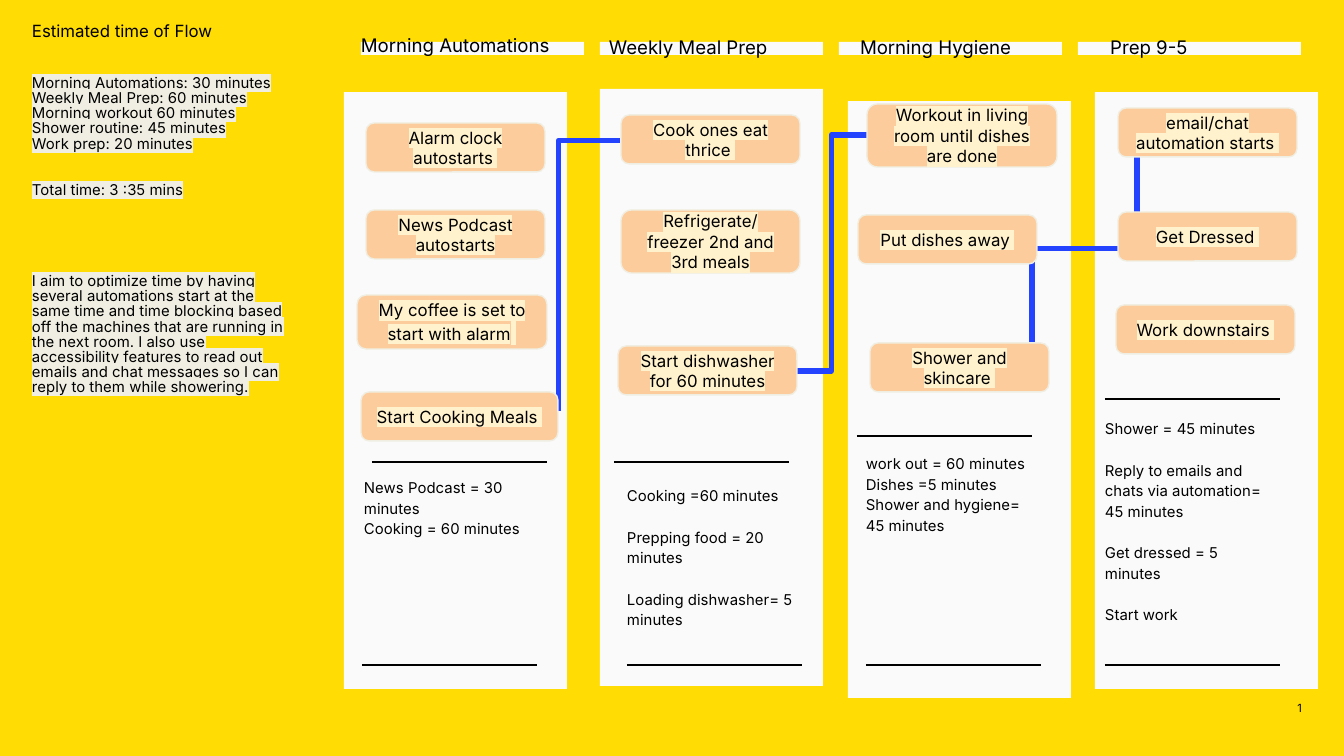
"""Build a yellow morning-routine flow slide with four columns of steps."""
from lxml import etree
from pptx import Presentation
from pptx.dml.color import RGBColor
from pptx.enum.shapes import MSO_CONNECTOR, MSO_SHAPE
from pptx.enum.text import MSO_ANCHOR, PP_ALIGN
from pptx.oxml.ns import qn
from pptx.util import Pt

EMU_PER_PX = 914400 / 134.4
RECT, ROUNDED = MSO_SHAPE.RECTANGLE, MSO_SHAPE.ROUNDED_RECTANGLE
STRAIGHT, ELBOW = MSO_CONNECTOR.STRAIGHT, MSO_CONNECTOR.ELBOW
LEFT, CENTER, RIGHT = PP_ALIGN.LEFT, PP_ALIGN.CENTER, PP_ALIGN.RIGHT
TOP, MIDDLE = MSO_ANCHOR.TOP, MSO_ANCHOR.MIDDLE
YELLOW, PANEL, STEP, BORDER = "FFDD04", "FAFAFA", "FDCC9C", "F0EEE2"
CREAM, BLACK, BLUE = "FFF2CC", "000000", "2443FF"


def px(*lengths):
    return [round(length * EMU_PER_PX) for length in lengths]


def add_span(para, text, size, highlight=None):
    span = para.add_run()
    span.text = text
    span.font.size = Pt(size)
    span.font.name = "Inter"
    span.font.color.rgb = RGBColor.from_string(BLACK)
    if highlight:
        mark = etree.Element(qn("a:highlight"))
        etree.SubElement(mark, qn("a:srgbClr"), val=highlight)
        span.font._element.find(qn("a:solidFill")).addnext(mark)


deck = Presentation()
deck.slide_width, deck.slide_height = px(1344, 756)
page = deck.slides.add_slide(deck.slide_layouts[6])
page.background.fill.solid()
page.background.fill.fore_color.rgb = RGBColor.from_string(YELLOW)

header_bars = [(361 + 239 * column, 42, 223, 13) for column in range(4)]
panels = [(x, y, 223, 597) for x, y in [(344, 92), (600, 89), (848, 101), (1095, 92)]]
for frame in header_bars + panels:
    panel = page.shapes.add_shape(RECT, *px(*frame))
    panel.shadow.inherit = False
    panel.fill.solid()
    panel.fill.fore_color.rgb = RGBColor.from_string(PANEL)
    panel.line.fill.background()

rules = [(372, 462), (614, 462), (857, 436), (1105, 399),
         (362, 665), (627, 665), (866, 665), (1105, 665)]
strokes = [(STRAIGHT, (x, y, x + 175, y), BLACK, 0.75, None, 0) for x, y in rules]
strokes += [
    (ELBOW, (454, 245, 725, 307), BLUE, 3, "bentConnector2", 270),
    (ELBOW, (796, 371, 867, 135), BLUE, 3, "bentConnector3", 0),
    (ELBOW, (979, 196, 1190, 301), BLUE, 3, "bentConnector3", 270),
]
for kind, ends, color, width, geometry, turn in strokes:
    stroke = page.shapes.add_connector(kind, *px(*ends))
    stroke.line.color.rgb = RGBColor.from_string(color)
    stroke.line.width = Pt(width)
    properties = stroke._element.spPr
    etree.SubElement(properties, qn("a:effectLst"))
    if geometry:
        properties.find(qn("a:prstGeom")).set("prst", geometry)
    if turn:
        properties.find(qn("a:xfrm")).set("rot", str(turn * 60000))

steps = [
    (366, 123, 179, 49, "Alarm clock autostarts "),
    (366, 210, 179, 49, "News Podcast autostarts"),
    (357, 295, 190, 54, "My coffee is set to start with alarm"),
    (361, 392, 197, 49, "Start Cooking Meals "),
    (621, 115, 179, 49, "Cook ones eat thrice "),
    (621, 210, 179, 63, "Refrigerate/ freezer 2nd and 3rd meals"),
    (618, 346, 179, 49, "Start dishwasher for 60 minutes"),
    (867, 104, 190, 63, "Workout in living room until dishes are done"),
    (858, 215, 179, 49, "Put dishes away "),
    (870, 343, 179, 49, "Shower and skincare "),
    (1118, 108, 179, 49, "email/chat automation starts "),
    (1118, 212, 179, 49, "Get Dressed "),
    (1116, 305, 179, 49, "Work downstairs "),
]
for *frame, label in steps:
    step = page.shapes.add_shape(ROUNDED, *px(*frame))
    step.shadow.inherit = False
    step.fill.solid()
    step.fill.fore_color.rgb = RGBColor.from_string(STEP)
    step.line.color.rgb = RGBColor.from_string(BORDER)
    step.line.width = Pt(0.75)
    words = step.text_frame
    words.word_wrap = True
    words.vertical_anchor = MIDDLE
    words.margin_left, words.margin_top, words.margin_right, words.margin_bottom = px(13, 13, 13, 13)
    para = words.paragraphs[0]
    para.alignment = CENTER
    add_span(para, label, 9, CREAM)
    if label.startswith("My coffee"):
        add_span(para, " ", 11, CREAM)

headings = [
    (361, 36, 223, 50, "Morning Automations"),
    (609, 38, 207, 23, "Weekly Meal Prep"),
    (860, 38, 175, 23, "Morning Hygiene"),
    (1105, 38, 175, 23, " Prep 9-5"),
]
notes = [
    (364, 476, 171, 188, [(0, "News Podcast = 30 minutes"), (0, "Cooking = 60 minutes")]),
    (627, 484, 171, 179, [(0, "Cooking =60 minutes"), (21, "Prepping food = 20 minutes"),
                          (21, "Loading dishwasher= 5 minutes")]),
    (866, 452, 171, 211, [(0, "work out = 60 minutes"), (0, "Dishes =5 minutes"),
                          (0, "Shower and hygiene= 45 minutes")]),
    (1105, 417, 171, 246, [(0, "Shower = 45 minutes"),
                           (21, "Reply to emails and chats via automation= 45 minutes"),
                           (21, "Get dressed = 5 minutes"), (21, "Start work")]),
]
summary = [
    (0, "Estimated time of Flow", 9, None),
    (35, "Morning Automations: 30 minutes", 8, BORDER),
    (0, "Weekly Meal Prep: 60 minutes", 8, BORDER),
    (0, "Morning workout 60 minutes", 8, BORDER),
    (0, "Shower routine: 45 minutes", 8, BORDER),
    (0, "Work prep: 20 minutes", 8, BORDER),
    (31, "Total time: 3 :35 mins", 8, BORDER),
    (76, "I aim to optimize time by having several automations start at the same time and "
         "time blocking based off the machines that are running in the next room. I also use "
         "accessibility features to read out emails and chat messages so I can reply to them "
         "while showering.", 8, BORDER),
]
texts = [((32, 24, 258, 642), LEFT, TOP, 0.85, summary),
         ((1222, 703, 80, 11), RIGHT, MIDDLE, 1.0, [(0, "1", 6, None)])]
texts += [(frame, LEFT, TOP, 0.9, [(0, title, 10, None)]) for *frame, title in headings]
texts += [(frame, LEFT, TOP, 1.15, [(gap, text, 8, None) for gap, text in lines])
          for *frame, lines in notes]
for frame, alignment, anchor, spacing, lines in texts:
    box = page.shapes.add_textbox(*px(*frame))
    words = box.text_frame
    words.word_wrap = True
    words.vertical_anchor = anchor
    words.margin_left = words.margin_top = words.margin_right = words.margin_bottom = 0
    for index, (gap, text, size, highlight) in enumerate(lines):
        para = words.add_paragraph() if index else words.paragraphs[0]
        para.alignment = alignment
        para.line_spacing = spacing
        para.space_before = px(gap)[0]
        add_span(para, text, size, highlight)

deck.save("out.pptx")
